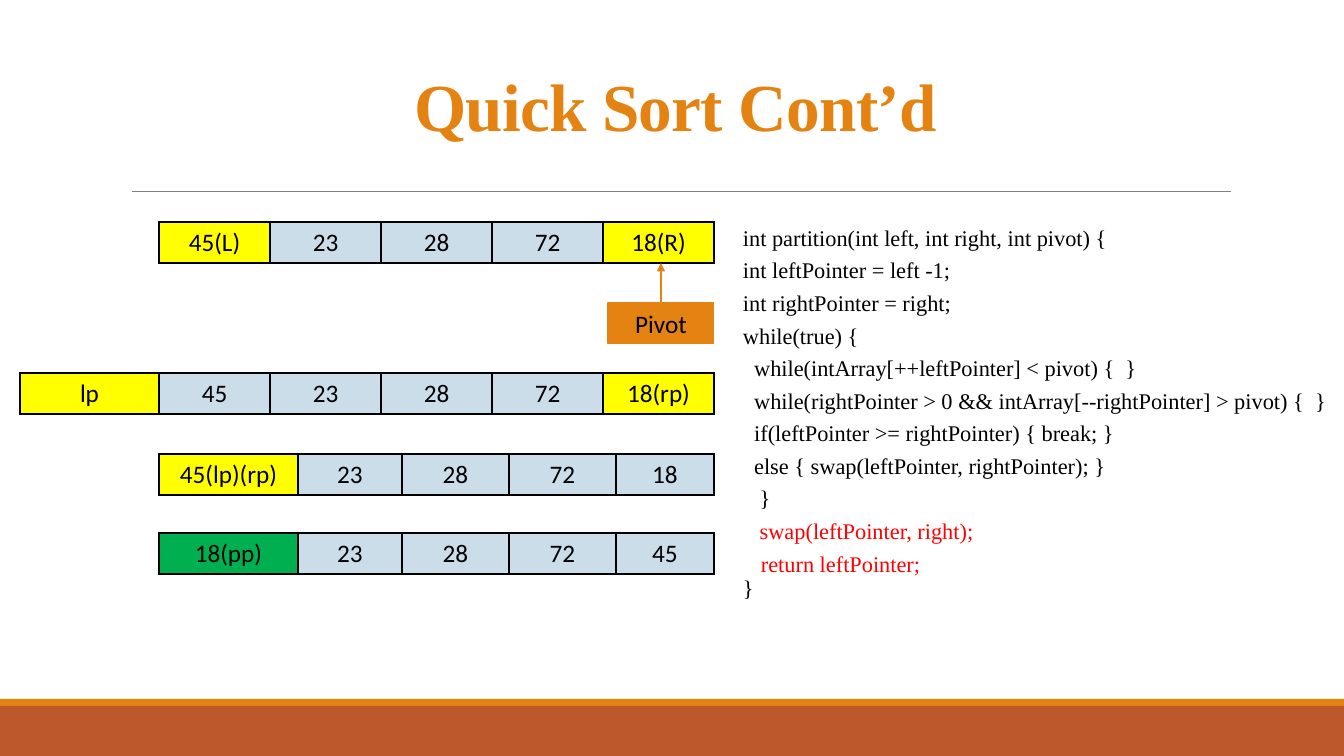
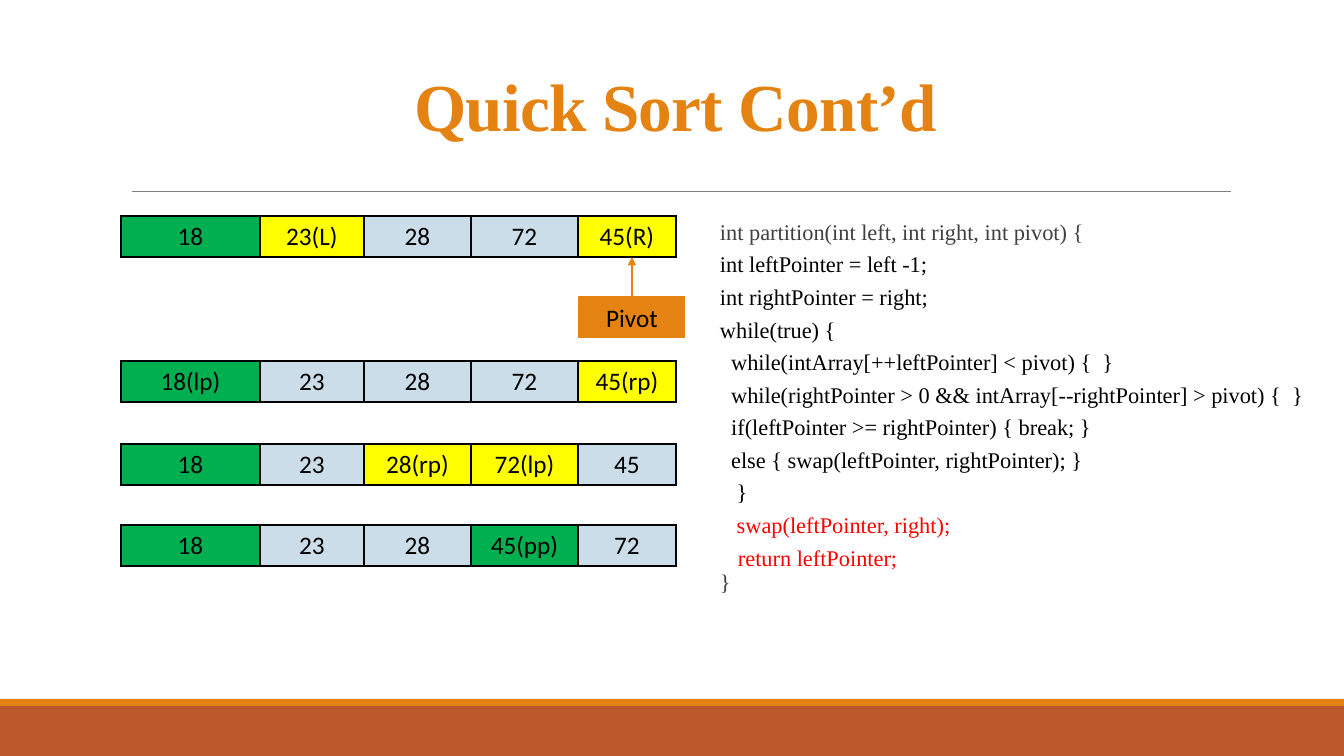
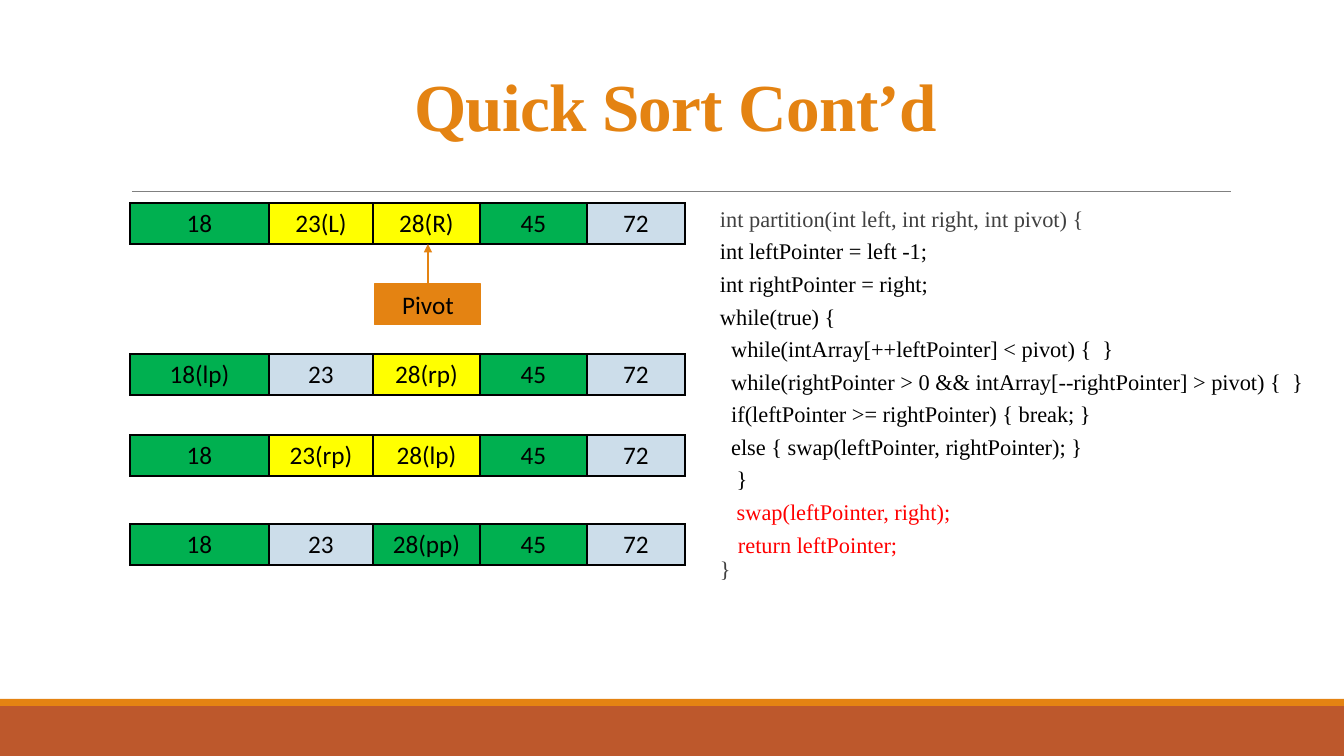
from lxml import etree
from pptx import Presentation
from pptx import util as u
from pptx.dml.color import RGBColor
from pptx.enum import shapes, text
from pptx.oxml.ns import qn

SCALE = 12192000 / 1344
COLORS = {
    "orange": "E48312", "rust": "BD582C", "rule": "808080",
    "black": "000000", "gray": "404040", "red": "FF0000",
    "plain": "CCDDEA", "active": "FFFF00", "placed": "00B050",
}
STATES = {"n": "plain", "a": "active", "p": "placed"}
EVEN = [111] * 5
VARIED = [139, 104, 107, 107, 98]
ROW_HEIGHT = 41
PIVOT_WIDTH = 106
PIVOT_DROP = 81
CODE = [
    "int partition(int left, int right, int pivot) {",
    "int leftPointer = left -1;",
    "int rightPointer = right;",
    "while(true) {",
    "  while(intArray[++leftPointer] < pivot) {  }",
    "  while(rightPointer > 0 && intArray[--rightPointer] > pivot) {  }",
    "  if(leftPointer >= rightPointer) { break; }",
    "  else { swap(leftPointer, rightPointer); }",
    "   }",
    "   swap(leftPointer, right);",
    "     return leftPointer;",
    "}",
]
STEPS = [
    {
        "left": 159, "pivot_left": 608, "code_left": 733, "frame": "black",
        "rows": [
            (222, EVEN, "45(L) 23 28 72 18(R)", "annna"),
            (373, EVEN, "45 23 28 72 18(rp)", "nnnna"),
            (454, VARIED, "45(lp)(rp) 23 28 72 18", "annnn"),
            (533, VARIED, "18(pp) 23 28 72 45", "pnnnn"),
        ],
        "start_pointer": (20, 373),
    },
    {
        "left": 121, "pivot_left": 579, "code_left": 710, "frame": "gray",
        "rows": [
            (216, VARIED, "18 23(L) 28 72 45(R)", "panna"),
            (361, VARIED, "18(lp) 23 28 72 45(rp)", "pnnna"),
            (444, VARIED, "18 23 28(rp) 72(lp) 45", "pnaan"),
            (525, VARIED, "18 23 28 45(pp) 72", "pnnpn"),
        ],
    },
    {
        "left": 130, "pivot_left": 375, "code_left": 710, "frame": "gray",
        "rows": [
            (203, VARIED, "18 23(L) 28(R) 45 72", "paapn"),
            (354, VARIED, "18(lp) 23 28(rp) 45 72", "pnapn"),
            (435, VARIED, "18 23(rp) 28(lp) 45 72", "paapn"),
            (524, VARIED, "18 23 28(pp) 45 72", "pnppn"),
        ],
    },
]


def px(length):
    return u.Emu(round(length * SCALE))


def rgb(name):
    return RGBColor.from_string(COLORS[name])


class Deck:
    def __init__(self):
        self.prs = Presentation()
        self.prs.slide_width = px(1344)
        self.prs.slide_height = px(756)
        self.slide = None

    def new_slide(self, heading):
        self.slide = self.prs.slides.add_slide(self.prs.slide_layouts[6])
        self.box(0, 706, 1344, 50, "rust")
        self.box(0, 699, 1344, 7, "orange")
        self.line((132, 191), (1231, 191), "rule", 0.5)
        self.title(heading)

    def style(self, paragraph, size, color, font="Calibri", bold=False):
        for run in paragraph.runs:
            run.font.name = font
            run.font.size = u.Pt(size)
            run.font.bold = bold
            run.font.color.rgb = rgb(color)

    def box(self, left, top, width, height, fill, outline=None):
        box = self.slide.shapes.add_shape(
            shapes.MSO_SHAPE.RECTANGLE, px(left), px(top), px(width), px(height))
        box.shadow.inherit = False
        box.fill.solid()
        box.fill.fore_color.rgb = rgb(fill)
        if outline:
            box.line.color.rgb = rgb(outline)
            box.line.width = u.Pt(0.75)
        else:
            box.line.fill.background()
        return box

    def line(self, start, end, color, width):
        line = self.slide.shapes.add_connector(
            shapes.MSO_CONNECTOR.STRAIGHT, *map(px, start + end))
        line.line.color.rgb = rgb(color)
        line.line.width = u.Pt(width)
        etree.SubElement(line._element.spPr, qn("a:effectLst"))
        return line

    def title(self, heading):
        frame = self.slide.shapes.add_textbox(px(121), px(31), px(1109), px(160)).text_frame
        frame.word_wrap = True
        frame.vertical_anchor = text.MSO_ANCHOR.MIDDLE
        frame.text = heading
        paragraph = frame.paragraphs[0]
        paragraph.alignment = text.PP_ALIGN.CENTER
        paragraph.line_spacing = 0.85
        self.style(paragraph, 48, "orange", "Times New Roman", True)
        paragraph.runs[0].font._element.set("spc", "-50")

    def array(self, left, top, widths, values, states):
        table = self.slide.shapes.add_table(
            1, len(widths), px(left), px(top), px(sum(widths)), px(ROW_HEIGHT)).table
        table.first_row = table.horz_banding = False
        for column, width in zip(table.columns, widths):
            column.width = px(width)
        for cell, value, state in zip(table.rows[0].cells, values.split(), states):
            cell.text_frame.text = value
            paragraph = cell.text_frame.paragraphs[0]
            paragraph.alignment = text.PP_ALIGN.CENTER
            self.style(paragraph, 18, "black")
            self.borders(cell)
            cell.fill.solid()
            cell.fill.fore_color.rgb = rgb(STATES[state])

    def borders(self, cell):
        properties = cell._tc.get_or_add_tcPr()
        for side in ("lnL", "lnR", "lnT", "lnB"):
            border = etree.SubElement(properties, qn("a:" + side), w=str(u.Pt(1)))
            fill = etree.SubElement(border, qn("a:solidFill"))
            etree.SubElement(fill, qn("a:srgbClr"), val=COLORS["black"])

    def pivot(self, left, row_top):
        top = row_top + PIVOT_DROP
        label = self.box(left, top, PIVOT_WIDTH, ROW_HEIGHT, "orange", "orange")
        label.text_frame.text = "Pivot"
        label.text_frame.vertical_anchor = text.MSO_ANCHOR.MIDDLE
        paragraph = label.text_frame.paragraphs[0]
        paragraph.alignment = text.PP_ALIGN.CENTER
        self.style(paragraph, 18, "black")
        center = left + PIVOT_WIDTH // 2
        arrow = self.line((center, top), (center, row_top + ROW_HEIGHT), "orange", 1)
        arrow.begin_connect(label, 0)
        etree.SubElement(arrow.line._get_or_add_ln(), qn("a:tailEnd"), type="triangle")

    def code(self, left, top, frame_color):
        frame = self.slide.shapes.add_textbox(px(left), px(top), px(598), px(412)).text_frame
        frame.word_wrap = True
        frame.margin_left = frame.margin_right = 0
        frame.margin_top = frame.margin_bottom = px(5)
        frame.text = "\n".join(CODE)
        last = len(CODE) - 1
        for index, paragraph in enumerate(frame.paragraphs):
            is_return = index == last - 1
            paragraph._p.get_or_add_pPr().set("marL", str(px(0 if is_return else 10)))
            paragraph.line_spacing = 0.9
            paragraph.space_before = u.Pt(0 if index in (0, last) else 6)
            color = "black"
            if index in (0, last):
                color = frame_color
            elif index >= last - 2:
                color = "red"
            self.style(paragraph, 16, color, "Times New Roman")


def main():
    deck = Deck()
    for step in STEPS:
        deck.new_slide("Quick Sort Cont’d")
        for top, widths, values, states in step["rows"]:
            deck.array(step["left"], top, widths, values, states)
        if "start_pointer" in step:
            deck.array(*step["start_pointer"], VARIED[:1], "lp", "a")
        first_top = step["rows"][0][0]
        deck.pivot(step["pivot_left"], first_top)
        deck.code(step["code_left"], first_top, step["frame"])
    deck.prs.save("out.pptx")


if __name__ == "__main__":
    main()
